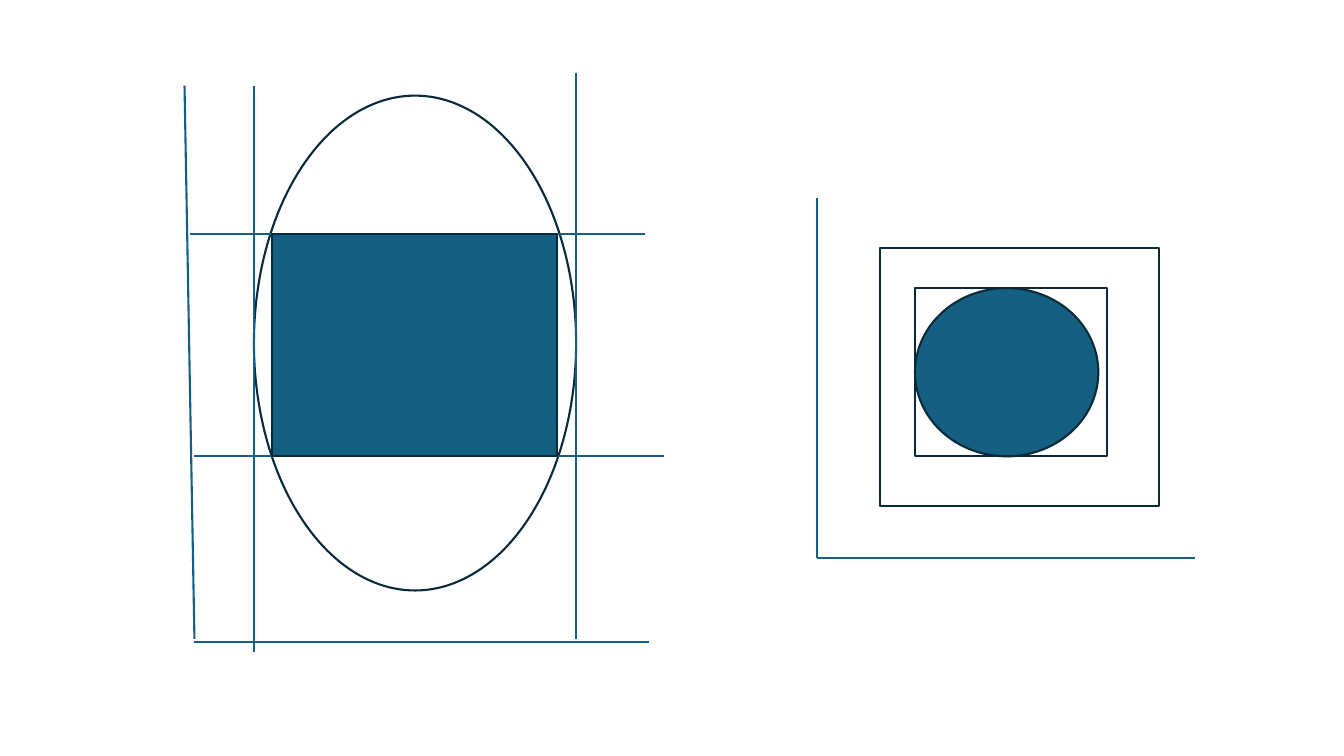
from pptx import Presentation
from pptx.dml.color import RGBColor
from pptx.enum.shapes import MSO_CONNECTOR, MSO_SHAPE
from pptx.oxml.ns import qn
from pptx.util import Cm, Pt
from lxml.etree import SubElement

THEME = {
    "white": RGBColor(0xFF, 0xFF, 0xFF),
    "blue": RGBColor(0x15, 0x60, 0x82),
    "outline": RGBColor(0x09, 0x2A, 0x39),
    "line_width": Pt(1.5),
}

SLIDE_SIZE = (33.87, 19.05)

# Edges shared by several parts, in centimetres
ELLIPSE_LEFT, ELLIPSE_RIGHT = 6.4, 14.52
BLOCK_TOP, BLOCK_BOTTOM = 5.89, 11.5
AXIS_X, AXIS_Y = 20.6, 14.07
INNER_LEFT, INNER_TOP, INNER_HEIGHT = 23.06, 7.26, 4.24

# Back to front. Shapes: kind, left, top, width, height, fill.
# Lines: "line", start x, start y, end x, end y.
PARTS = [
    ("ellipse", ELLIPSE_LEFT, 2.41, ELLIPSE_RIGHT - ELLIPSE_LEFT, 12.47, "white"),
    ("line", 4.65, 2.16, 4.9, 16.1),
    ("line", 4.88, 16.18, 16.36, 16.18),
    ("line", 4.78, BLOCK_TOP, 16.26, BLOCK_TOP),
    ("line", 4.88, BLOCK_BOTTOM, 16.74, BLOCK_BOTTOM),
    ("rectangle", 6.86, BLOCK_TOP, 7.19, BLOCK_BOTTOM - BLOCK_TOP, "blue"),
    ("line", ELLIPSE_LEFT, 2.16, ELLIPSE_LEFT, 16.43),
    ("line", ELLIPSE_RIGHT, 1.83, ELLIPSE_RIGHT, 16.1),
    ("line", AXIS_X, 5, AXIS_X, AXIS_Y),
    ("line", AXIS_X, AXIS_Y, 30.12, AXIS_Y),
    ("ellipse", INNER_LEFT, INNER_TOP, 4.62, INNER_HEIGHT, "blue"),
    ("rectangle", INNER_LEFT, INNER_TOP, 4.83, INNER_HEIGHT, None),
    ("rectangle", 22.17, 6.25, 7.04, 6.5, None),
]

PRESETS = {"ellipse": MSO_SHAPE.OVAL, "rectangle": MSO_SHAPE.RECTANGLE}


def style_line(part, color):
    part.line.color.rgb = THEME[color]
    part.line.width = THEME["line_width"]


def add_line(page, *ends):
    line = page.shapes.add_connector(MSO_CONNECTOR.STRAIGHT, *map(Cm, ends))
    style_line(line, "blue")
    properties = line._element.find(qn("p:spPr"))
    SubElement(properties, qn("a:effectLst"))


def add_outlined_shape(page, kind, *bounds, fill):
    shape = page.shapes.add_shape(PRESETS[kind], *map(Cm, bounds))
    shape.shadow.inherit = False
    style_line(shape, "outline")
    if fill:
        shape.fill.solid()
        shape.fill.fore_color.rgb = THEME[fill]
    else:
        shape.fill.background()


def main():
    deck = Presentation()
    deck.slide_width, deck.slide_height = map(Cm, SLIDE_SIZE)
    page = deck.slides.add_slide(deck.slide_layouts[6])
    for kind, *values in PARTS:
        if kind == "line":
            add_line(page, *values)
        else:
            *bounds, fill = values
            add_outlined_shape(page, kind, *bounds, fill=fill)
    deck.save("out.pptx")


if __name__ == "__main__":
    main()
